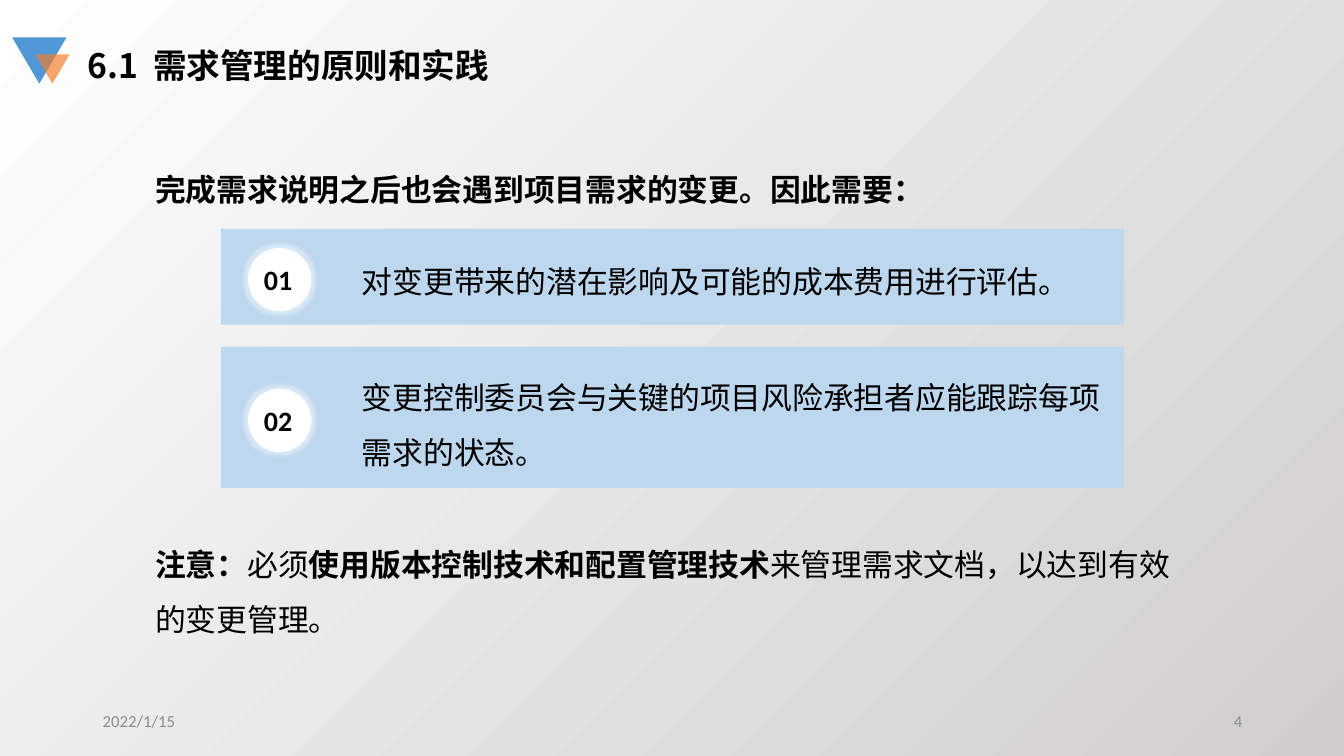
from pptx import Presentation
from pptx.dml.color import RGBColor
from pptx.enum import shapes, text
from pptx.oxml import parse_xml
from pptx.oxml.ns import nsdecls, qn
from pptx.util import Inches, Pt
from lxml import etree

# Content
TITLE = "6.1\t需求管理的原则和实践"
INTRO = "完成需求说明之后也会遇到项目需求的变更。因此需要："
# number, text, card top, card height, text top, text height, line spacing
CARDS = [
    ("01", "对变更带来的潜在影响及可能的成本费用进行评估。",
     2.27, 0.95, 2.56, 0.47, None),
    ("02", "变更控制委员会与关键的项目风险承担者应能跟踪每项需求的状态。",
     3.44, 1.4, 3.52, 1.12, 1.5),
]
NOTE = [("注意：", True), ("必须", False),
        ("使用版本控制技术和配置管理技术", True),
        ("来管理需求文档，以达到有效的变更管理。", False)]
DATE, PAGE = "2022/1/15", "4"

THEME = {
    "cjk": "Noto Sans CJK SC", "latin": "Calibri",
    "title": 24, "body": 22, "number": 20, "footer": 12,
    "ink": "000000", "muted": "8C8C8C", "card": "BDD7EE", "badge": "FFFFFF",
    "blue": "5197D7", "orange": "F37D2A",
    "bg_from": "D0CECE", "bg_to": "FFFFFF",
}


def color(key):
    return RGBColor.from_string(THEME[key])


prs = Presentation()
prs.slide_width, prs.slide_height = Inches(13.33), Inches(7.5)
s = prs.slides.add_slide(prs.slide_layouts[6])


def add_text(runs, x, y, w, h, size="body", font="cjk", ink="ink", bold=False,
             spacing=None, align=None, anchor=text.MSO_ANCHOR.TOP, tab=None):
    """Add a text box; runs is a string or a list of (text, bold)."""
    tf = s.shapes.add_textbox(Inches(x), Inches(y), Inches(w), Inches(h)).text_frame
    tf.word_wrap = True
    tf.vertical_anchor = anchor
    p = tf.paragraphs[0]
    if tab:
        tabs = etree.SubElement(p._p.get_or_add_pPr(), qn("a:tabLst"))
        etree.SubElement(tabs, qn("a:tab"), pos=str(Inches(tab)), algn="l")
    p.alignment = align
    p.line_spacing = spacing
    for words, is_bold in [(runs, bold)] if isinstance(runs, str) else runs:
        r = p.add_run()
        r.text = words
        r.font.size = Pt(THEME[size])
        r.font.bold = is_bold
        r.font.color.rgb = color(ink)
        r.font.name = THEME[font]
        etree.SubElement(r._r.get_or_add_rPr(), qn("a:ea"), typeface=THEME[font])


def add_block(kind, x, y, w, h, fill, rotation=0):
    sp = s.shapes.add_shape(kind, Inches(x), Inches(y), Inches(w), Inches(h))
    sp.shadow.inherit = False
    sp.fill.solid()
    sp.fill.fore_color.rgb = color(fill)
    sp.line.fill.background()
    sp.rotation = rotation
    return sp


# Background gradient
bg = s.background.fill
bg.gradient()
bg.gradient_angle = 135
for stop, key in zip(bg.gradient_stops, ("bg_from", "bg_to")):
    stop.color.rgb = color(key)

# Title with its two triangles
TRIANGLE = shapes.MSO_SHAPE.ISOSCELES_TRIANGLE
add_block(TRIANGLE, 0.12, 0.37, 0.54, 0.46, "blue", 180)
front = add_block(TRIANGLE, 0.35, 0.54, 0.34, 0.29, "orange", 180)
etree.SubElement(front._element.spPr.find(".//" + qn("a:srgbClr")),
                 qn("a:alpha"), val="68000")
add_text(TITLE, 0.77, 0.4, 4.41, 0.5, size="title", bold=True, tab=0.65)

# Introduction
add_text(INTRO, 1.44, 1.46, 9.33, 0.57, bold=True, spacing=1.5)

# Numbered cards
BADGE = 0.63
for number, words, top, height, text_top, text_height, spacing in CARDS:
    add_block(shapes.MSO_SHAPE.RECTANGLE, 2.19, top, 8.96, height, "card")
    add_text(words, 3.49, text_top, 7.58, text_height, spacing=spacing)
    badge_top = top + (height - BADGE) / 2 + 0.03
    badge = add_block(shapes.MSO_SHAPE.OVAL, 2.46, badge_top, BADGE, BADGE, "badge")
    badge._element.spPr.find(qn("a:effectLst")).append(parse_xml(
        f'<a:glow {nsdecls("a")} rad="{Pt(5)}"><a:srgbClr val="{THEME["badge"]}">'
        '<a:alpha val="40000"/></a:srgbClr></a:glow>'))
    add_text(number, 2.52, badge_top + 0.1, 0.5, 0.44, size="number",
             font="latin", bold=True)

# Closing note
add_text(NOTE, 1.44, 5.18, 10.46, 1.12, spacing=1.5)

# Footer
for words, x, align in ((DATE, 0.92, text.PP_ALIGN.LEFT),
                        (PAGE, 9.42, text.PP_ALIGN.RIGHT)):
    add_text(words, x, 6.95, 3, 0.4, size="footer", font="latin", ink="muted",
             align=align, anchor=text.MSO_ANCHOR.MIDDLE)

prs.save("out.pptx")
